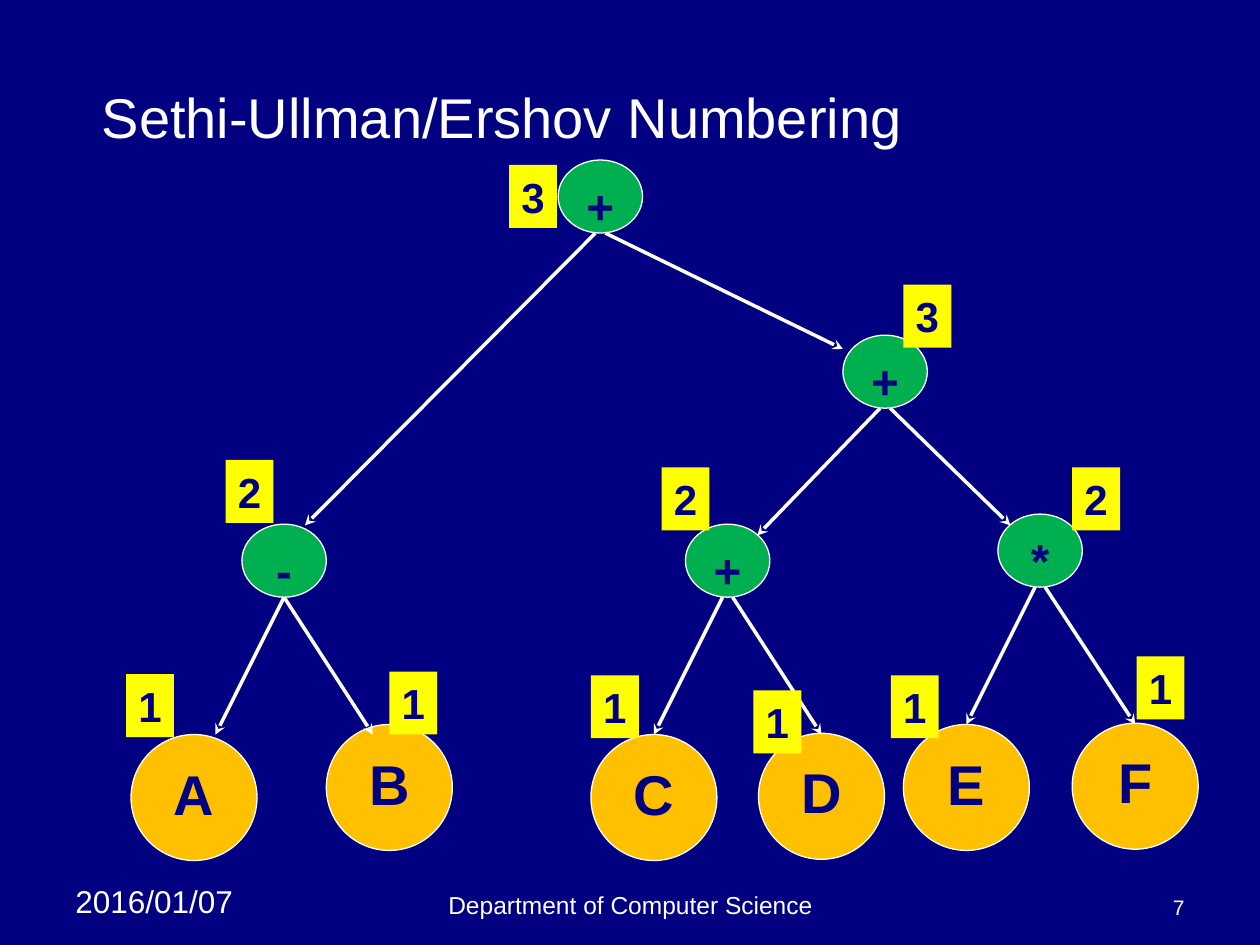
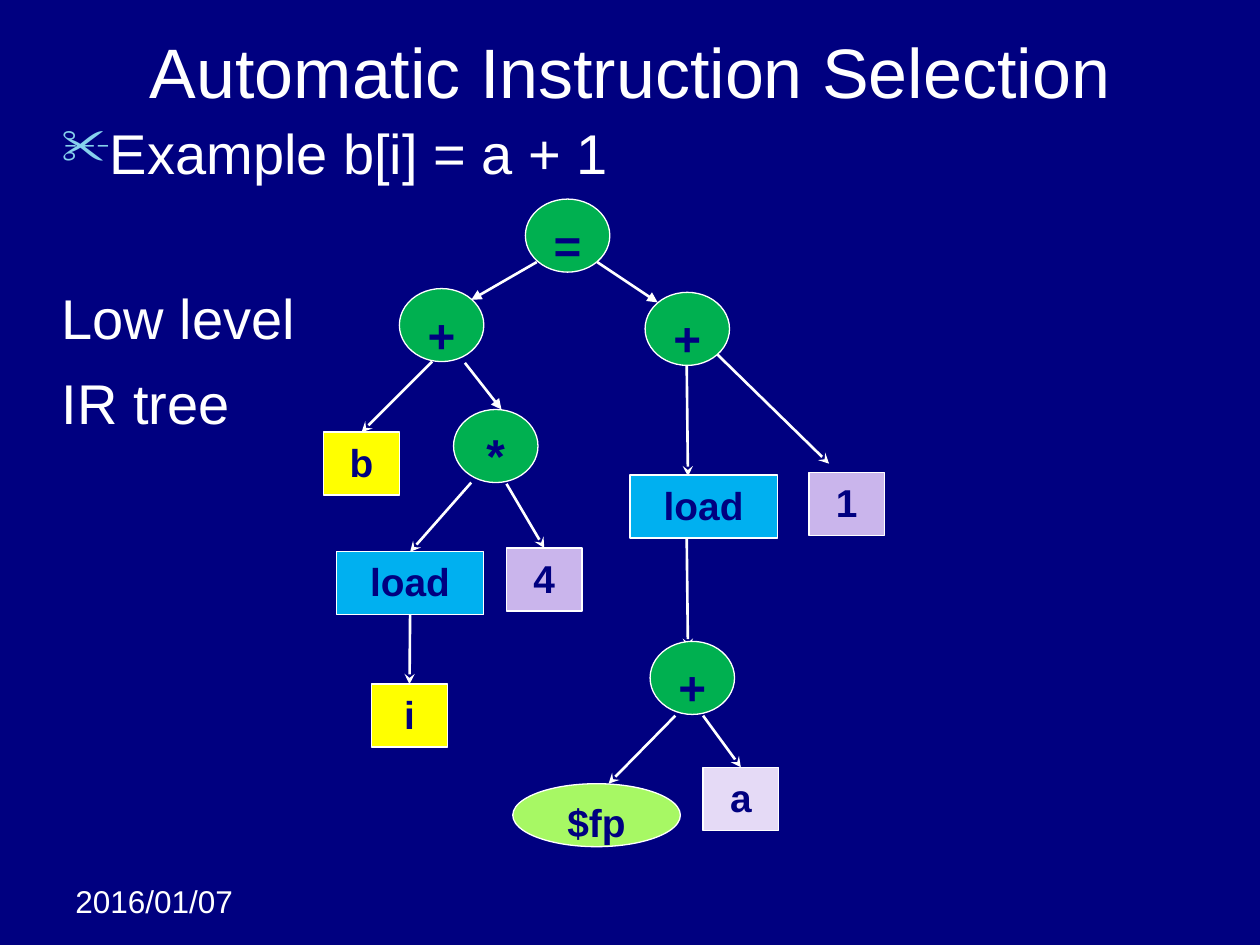
from lxml import etree
from pptx import Presentation
from pptx.dml.color import RGBColor
from pptx.enum.shapes import MSO_CONNECTOR, MSO_SHAPE
from pptx.enum.text import MSO_ANCHOR, PP_ALIGN
from pptx.oxml.ns import qn
from pptx.util import Inches, Pt

OVAL, RECTANGLE = MSO_SHAPE.OVAL, MSO_SHAPE.RECTANGLE
STRAIGHT = MSO_CONNECTOR.STRAIGHT
LEFT, CENTER, RIGHT = PP_ALIGN.LEFT, PP_ALIGN.CENTER, PP_ALIGN.RIGHT
TOP, MIDDLE, BOTTOM = MSO_ANCHOR.TOP, MSO_ANCHOR.MIDDLE, MSO_ANCHOR.BOTTOM
TOP_SIDE, BOTTOM_SIDE = 0, 2

FONT = "Arial"
NAVY, WHITE, YELLOW, BULLET_BLUE = "000080", "FFFFFF", "FFFF00", "86D1EC"

# kind: preset shape, width, height, fill, text size, outlined
NODE_KINDS = {
    "operator": (OVAL, 0.67, 0.58, "00B050", 27.2, True),
    "leaf": (OVAL, 1, 1, "FFC000", 32, True),
    "register": (OVAL, 1.33, 0.5, "A7F864", 22.2, True),
    "variable": (RECTANGLE, 0.6, 0.5, YELLOW, 22.2, True),
    "constant": (RECTANGLE, 0.6, 0.5, "CAB5EC", 22.2, True),
    "offset": (RECTANGLE, 0.6, 0.5, "E5DAF6", 22.2, True),
    "load": (RECTANGLE, 1.17, 0.5, "00B0F0", 22.2, True),
    "badge": (RECTANGLE, 0.38, 0.5, YELLOW, 24, False),
}


def color(hex_string):
    return RGBColor.from_string(hex_string)


def apply_format(target, values):
    for name, value in values.items():
        setattr(target, name, value)


class TreeDeck:
    """Holds the shared style and the page being drawn."""

    def __init__(self):
        self.deck = Presentation()
        apply_format(self.deck, {"slide_width": Inches(10), "slide_height": Inches(7.5)})
        self.page = None

    def new_page(self):
        self.page = self.deck.slides.add_slide(self.deck.slide_layouts[6])
        fill = self.page.background.fill
        fill.solid()
        fill.fore_color.rgb = color(NAVY)
        self.text("2016/01/07", (0.5, 6.95, 1.58, 0.4), 18)

    def add_span(self, para, words, size, ink, align, bold=False):
        para.alignment = align
        span = para.add_run()
        span.text = words
        apply_format(span.font, {"name": FONT, "size": Pt(size), "bold": bold})
        span.font.color.rgb = color(ink)

    def text(self, words, place, size, align=LEFT, anchor=TOP):
        box = self.page.shapes.add_textbox(*map(Inches, place))
        apply_format(box.text_frame, {"word_wrap": True, "vertical_anchor": anchor})
        self.add_span(box.text_frame.paragraphs[0], words, size, WHITE, align)
        return box

    def add_line(self, box, words, size, space_before):
        para = box.text_frame.add_paragraph()
        para.space_before = Pt(space_before)
        self.add_span(para, words, size, WHITE, LEFT)

    def scissors_bullet(self, para, indent):
        properties = para._p.get_or_add_pPr()
        properties.set("marL", str(Inches(indent)))
        properties.set("indent", str(-Inches(indent)))
        tint = etree.SubElement(properties, qn("a:buClr"))
        etree.SubElement(tint, qn("a:srgbClr"), val=BULLET_BLUE)
        etree.SubElement(properties, qn("a:buSzPct"), val="90000")
        etree.SubElement(properties, qn("a:buChar"), char="✂")

    def node(self, kind, words, x, y):
        preset, width, height, fill, size, outlined = NODE_KINDS[kind]
        shape = self.page.shapes.add_shape(preset, *map(Inches, (x, y, width, height)))
        shape.shadow.inherit = False
        shape.fill.solid()
        shape.fill.fore_color.rgb = color(fill)
        if outlined:
            shape.line.color.rgb = color(WHITE)
            shape.line.width = Pt(0.75)
        else:
            shape.line.fill.background()
        apply_format(shape.text_frame, {"word_wrap": outlined, "vertical_anchor": TOP})
        self.add_span(shape.text_frame.paragraphs[0], words, size, NAVY, CENTER, bold=True)
        return shape

    def arrow(self, start, end, weight, head="stealth", above=None, below=None):
        """Draw an arrow, joined to the rectangles given above and below it."""
        connector = self.page.shapes.add_connector(STRAIGHT, *map(Inches, (*start, *end)))
        connector.line.color.rgb = color(WHITE)
        connector.line.width = Pt(weight)
        properties = connector._element.spPr
        etree.SubElement(properties.get_or_add_ln(), qn("a:tailEnd"), type=head)
        etree.SubElement(properties, qn("a:effectLst"))
        if above is not None:
            connector.begin_connect(above, BOTTOM_SIDE)
        if below is not None:
            connector.end_connect(below, TOP_SIDE)


def draw_numbering(tree):
    tree.new_page()
    tree.text("Department of Computer Science", (3.42, 6.83, 3.17, 0.52), 14, CENTER, BOTTOM)
    tree.text("7", (7.17, 6.83, 2.33, 0.52), 12, RIGHT, BOTTOM)
    tree.text("Sethi-Ullman/Ershov Numbering", (0.71, 0.42, 8.5, 1), 32, LEFT, MIDDLE)

    leaves = [("A", 1.04, 5.83), ("B", 2.59, 5.75), ("C", 4.69, 5.83),
              ("D", 6.02, 5.82), ("E", 7.17, 5.75), ("F", 8.51, 5.74)]
    for leaf in leaves:
        tree.node("leaf", *leaf)

    # symbol, left, top, half gap between arrow starts, left and right arrow ends
    operators = [
        ("-", 1.92, 4.16, 0, (1.71, 5.83), (2.96, 5.83)),
        ("+", 5.44, 4.16, 0.04, (5.19, 5.83), (6.52, 5.83)),
        ("*", 7.92, 4.08, 0.04, (7.67, 5.75), (9.01, 5.75)),
        ("+", 6.69, 2.66, 0.04, (6.01, 4.25), (8.02, 4.17)),
        ("+", 4.43, 1.27, 0.04, (2.42, 4.17), (6.69, 2.77)),
    ]
    width, height = NODE_KINDS["operator"][1:3]
    for symbol, x, y, half_gap, left_end, right_end in operators:
        tree.node("operator", symbol, x, y)
        middle, bottom = x + width / 2, y + height
        tree.arrow((middle - half_gap, bottom), left_end, 2)
        tree.arrow((middle + half_gap, bottom), right_end, 2)

    badges = {
        "1": [(1, 5.35), (3.09, 5.33), (4.69, 5.36), (5.98, 5.48), (7.07, 5.36), (9.02, 5.21)],
        "2": [(1.79, 3.65), (5.25, 3.71), (8.51, 3.71)],
        "3": [(7.17, 2.26), (4.04, 1.31)],
    }
    for number, places in badges.items():
        for place in places:
            tree.node("badge", number, *place)


def draw_selection(tree):
    tree.new_page()
    tree.text("Automatic Instruction Selection", (0.5, 0.17, 9, 0.78), 40, CENTER, MIDDLE)
    body = tree.text("Example b[i] = a + 1", (0.39, 0.89, 9.42, 6.08), 32)
    tree.scissors_bullet(body.text_frame.paragraphs[0], 0.38)
    tree.add_line(body, "Low level", 32, 56)
    tree.add_line(body, "IR tree", 32, 10)

    free_arrows = [
        ((4.26, 2.08), (3.74, 2.38), "triangle"),
        ((4.74, 2.08), (5.22, 2.4), "triangle"),
        ((3.69, 2.88), (3.98, 3.25), "triangle"),
        ((5.45, 2.9), (5.46, 3.78), "stealth"),
        ((5.45, 4.27), (5.46, 5.15), "stealth"),
        ((5.36, 5.68), (4.83, 6.22), "stealth"),
        ((5.68, 2.8), (6.58, 3.68), "stealth"),
    ]
    for start, end, head in free_arrows:
        tree.arrow(start, end, 1.5, head)

    for symbol, x, y in [("=", 4.17, 1.58), ("+", 3.17, 2.29), ("+", 5.12, 2.32),
                         ("*", 3.6, 3.25), ("+", 5.16, 5.09)]:
        tree.node("operator", symbol, x, y)
    tree.node("load", "load", 5, 3.77)
    tree.node("constant", "1", 6.42, 3.75)
    tree.node("register", "$fp", 4.07, 6.22)
    base = tree.node("variable", "b", 2.57, 3.43)
    index_load = tree.node("load", "load", 2.67, 4.38)
    index = tree.node("variable", "i", 2.95, 5.43)
    scale = tree.node("constant", "4", 4.02, 4.35)
    offset = tree.node("offset", "a", 5.58, 6.09)

    for start, target in [((3.43, 2.87), base), ((3.74, 3.83), index_load),
                          ((4.02, 3.84), scale), ((5.58, 5.68), offset)]:
        tree.arrow(start, start, 1.5, below=target)
    tree.arrow((3.25, 4.88), (3.25, 5.43), 1.5, above=index_load, below=index)


def main():
    tree = TreeDeck()
    draw_numbering(tree)
    draw_selection(tree)
    tree.deck.save("out.pptx")


if __name__ == "__main__":
    main()
